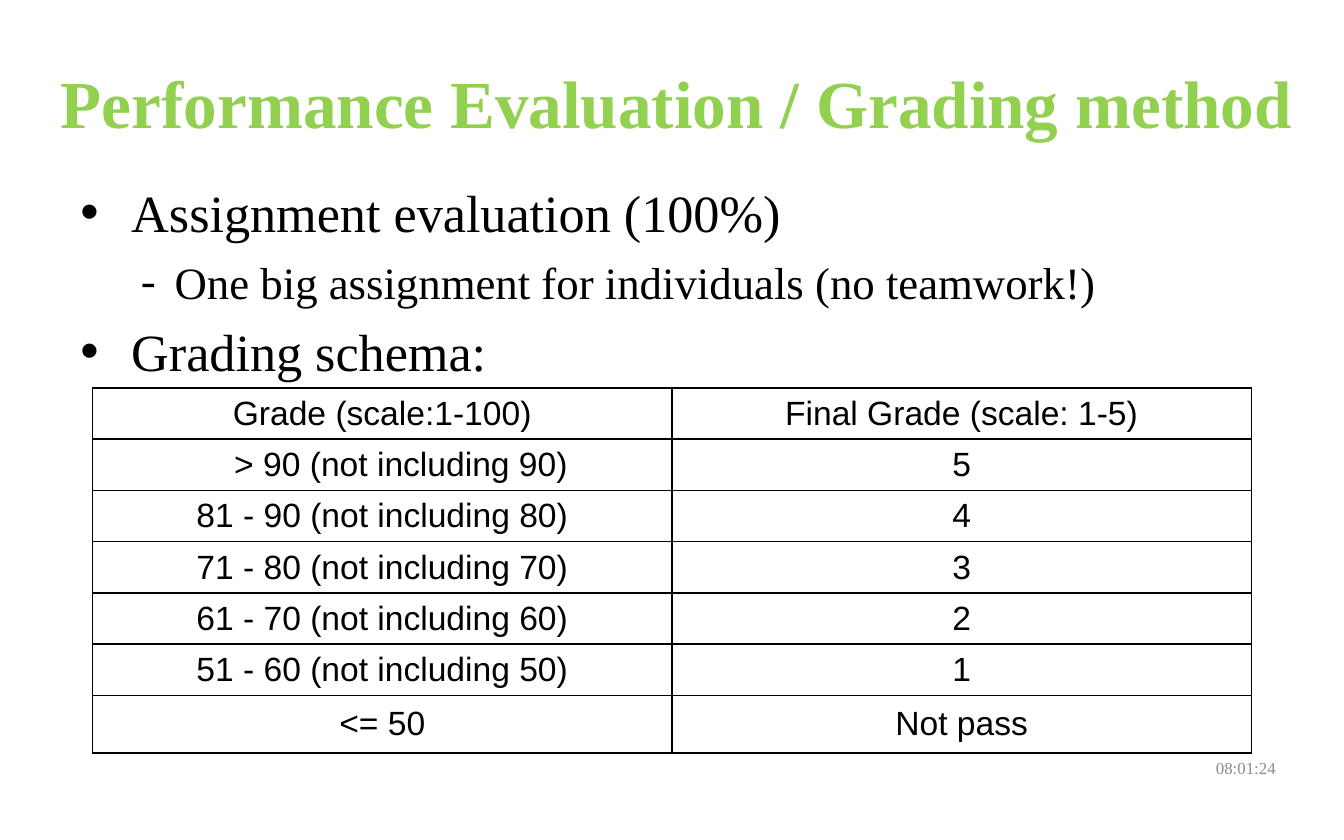
from lxml import etree
from pptx import Presentation
from pptx import util as u
from pptx.dml.color import RGBColor
from pptx.enum import text
from pptx.oxml import ns

GREEN = RGBColor(0x92, 0xD0, 0x50)
BLACK = RGBColor(0x00, 0x00, 0x00)
GREY = RGBColor(0x8C, 0x8C, 0x8C)
SERIF, SANS = "Times New Roman", "Arial"

BULLETS = [
    (0, "Assignment evaluation (100%)"),
    (1, "One big assignment for individuals (no teamwork!)"),
    (0, "Grading schema:"),
]
# level: bullet, bullet font, text indent in cm, hanging in cm, size in points
LEVELS = {0: ("•", SANS, 0.96, 0.96, 28), 1: ("-", SERIF, 1.78, 0.64, 24)}

GRADES = [
    ("Grade (scale:1-100)", "Final Grade (scale: 1-5)"),
    ("> 90 (not including 90)", "5"),
    ("81 - 90 (not including 80)", "4"),
    ("71 - 80 (not including 70)", "3"),
    ("61 - 70 (not including 60)", "2"),
    ("51 - 60 (not including 50)", "1"),
    ("<= 50", "Not pass"),
]


def add_element(parent, tag, **attributes):
    return etree.SubElement(parent, ns.qn(tag), attributes)


class SlideBuilder:
    def __init__(self, presentation):
        self.slide = presentation.slides.add_slide(presentation.slide_layouts[1])

    def place(self, shape, left, top, width, height):
        shape.left, shape.top = u.Cm(left), u.Cm(top)
        shape.width, shape.height = u.Cm(width), u.Cm(height)

    def prepare(self, frame, anchor, left, top, right):
        frame.word_wrap = True
        frame.auto_size = text.MSO_AUTO_SIZE.NONE
        frame.vertical_anchor = anchor
        frame.margin_left, frame.margin_top = u.Cm(left), u.Cm(top)
        frame.margin_right = u.Cm(right)

    def style(self, paragraph, font, size, color, align, bold=False):
        paragraph.alignment = align
        for run in paragraph.runs:
            run.font.name, run.font.size = font, u.Pt(size)
            run.font.color.rgb, run.font.bold = color, bold

    def title(self, words):
        shape = self.slide.shapes.title
        self.place(shape, 0.89, 0.94, 23.8, 2.41)
        frame = shape.text_frame
        frame.text = words
        self.prepare(frame, text.MSO_ANCHOR.TOP, 0.1, 0.22, 0.1)
        self.style(frame.paragraphs[0], SERIF, 36, GREEN, text.PP_ALIGN.CENTER, True)

    def bullets(self, items):
        shape = self.slide.placeholders[1]
        self.place(shape, 1.27, 3.23, 22.86, 10.13)
        frame = shape.text_frame
        frame.text = "\n".join(words for _, words in items)
        self.prepare(frame, text.MSO_ANCHOR.TOP, 0.25, 0.18, 0.25)
        for index, (paragraph, (level, _)) in enumerate(zip(frame.paragraphs, items)):
            bullet, bullet_font, indent, hanging, size = LEVELS[level]
            paragraph.level = level
            properties = paragraph._p.get_or_add_pPr()
            properties.set("marL", str(u.Cm(indent)))
            properties.set("indent", str(-u.Cm(hanging)))
            add_element(properties, "a:buFont", typeface=bullet_font)
            add_element(properties, "a:buChar", char=bullet)
            paragraph.space_before = u.Pt(6 if index else 0)
            self.style(paragraph, SERIF, size, BLACK, text.PP_ALIGN.LEFT)

    def border(self, cell):
        properties = cell._tc.get_or_add_tcPr()
        for position, side in enumerate(("a:lnL", "a:lnR", "a:lnT", "a:lnB")):
            line = etree.Element(ns.qn(side), w=str(u.Pt(1)))
            fill = add_element(line, "a:solidFill")
            add_element(fill, "a:srgbClr", val=str(BLACK))
            properties.insert(position, line)

    def table(self, rows):
        frame = self.slide.shapes.add_table(
            len(rows), 2, u.Cm(1.75), u.Cm(7.33), u.Cm(21.9), u.Cm(6.9))
        table = frame.table
        table.first_row = table.horz_banding = False
        for row in table.rows:
            row.height = u.Cm(0.97)
        table.rows[len(rows) - 1].height = u.Cm(1.08)
        for row, values in enumerate(rows):
            for column, value in enumerate(values):
                cell = table.cell(row, column)
                cell.text = value
                cell.fill.background()
                cell.vertical_anchor = text.MSO_ANCHOR.MIDDLE
                cell.margin_top = cell.margin_bottom = u.Cm(0.12)
                self.style(cell.text_frame.paragraphs[0], SANS, 18, BLACK,
                           text.PP_ALIGN.CENTER)
                self.border(cell)
        # Lines the top grade up with the right edge of the ranges below
        table.cell(1, 0).margin_left = u.Cm(0.96)

    def timestamp(self, words):
        shape = self.slide.shapes.add_textbox(0, 0, 0, 0)
        self.place(shape, 14.05, 14.3, 10.06, 0.43)
        frame = shape.text_frame
        frame.text = words
        self.prepare(frame, text.MSO_ANCHOR.MIDDLE, 0.25, 0.13, 0)
        self.style(frame.paragraphs[0], SERIF, 9, GREY, text.PP_ALIGN.RIGHT)


def main():
    presentation = Presentation()
    presentation.slide_width, presentation.slide_height = u.Cm(25.4), u.Cm(15.88)
    builder = SlideBuilder(presentation)
    builder.title("Performance Evaluation / Grading method")
    builder.bullets(BULLETS)
    builder.table(GRADES)
    builder.timestamp("08:01:24")
    presentation.save("out.pptx")


if __name__ == "__main__":
    main()
